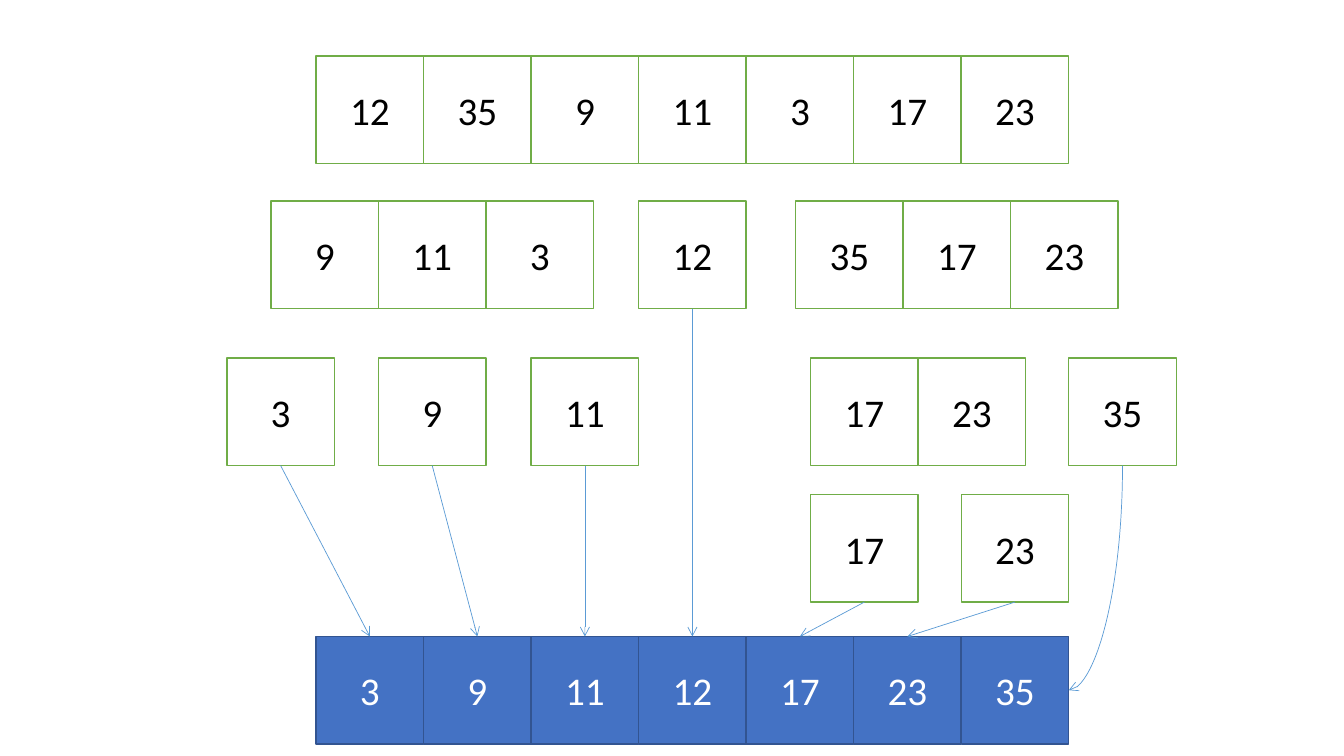
from lxml import etree
from pptx import Presentation
from pptx import util as u
from pptx.dml.color import RGBColor
from pptx.enum import shapes, text
from pptx.oxml.ns import qn

WIDTH, HEIGHT = u.Inches(13.333), u.Inches(7.5)
CELL = round(WIDTH * 0.08)
COLORS = {
    "paper": "FFFFFF", "ink": "000000", "green": "70AD47",
    "blue": "4472C4", "navy": "325491", "arrow": "5B9BD5",
}
ARRAY_COLUMN = 2.94
BOTTOM, RIGHT, TOP = 2, 3, 0

# Row of the grid -> groups given as (first column, values), in cell units.
PARTITIONS = {
    0.52: [(ARRAY_COLUMN, (12, 35, 9, 11, 3, 17, 23))],
    1.87: [(2.52, (9, 11, 3)), (5.94, (12,)), (7.4, (35, 17, 23))],
    3.33: [(2.11, (3,)), (3.52, (9,)), (4.94, (11,)),
           (7.54, (17, 23)), (9.94, (35,))],
    4.6: [(7.54, (17,)), (8.94, (23,))],
}
SORTED_ROW = 5.92
SORTED_VALUES = (3, 9, 11, 12, 17, 23, 35)


def rgb(name):
    return RGBColor.from_string(COLORS[name])


def write_text(box, content, *, size=28, font="Calibri", color="ink"):
    frame = box.text_frame
    frame.vertical_anchor = text.MSO_ANCHOR.MIDDLE
    para = frame.paragraphs[0]
    para.alignment = text.PP_ALIGN.CENTER
    span = para.add_run()
    span.text = content
    span.font.size = u.Pt(size)
    span.font.name = font
    span.font.color.rgb = rgb(color)


def add_cell(page, column, row, value, fill, line, color):
    box = page.shapes.add_shape(
        shapes.MSO_SHAPE.RECTANGLE,
        round(column * CELL), round(row * CELL), CELL, CELL)
    box.shadow.inherit = False
    box.fill.solid()
    box.fill.fore_color.rgb = rgb(fill)
    box.line.color.rgb = rgb(line)
    box.line.width = u.Pt(1)
    write_text(box, str(value), color=color)
    return box


def add_group(page, column, row, values, fill="paper", line="green", color="ink"):
    """Draw adjoining cells and return them by value."""
    return {value: add_cell(page, column + step, row, value, fill, line, color)
            for step, value in enumerate(values)}


def add_arrow(page, source, target, side=TOP, kind=shapes.MSO_CONNECTOR.STRAIGHT):
    arrow = page.shapes.add_connector(kind, 0, 0, 0, 0)
    arrow.begin_connect(source, BOTTOM)
    arrow.end_connect(target, side)
    arrow.line.color.rgb = rgb("arrow")
    arrow.line.width = u.Pt(0.5)
    etree.SubElement(arrow.line._get_or_add_ln(), qn("a:tailEnd"), type="arrow")
    etree.SubElement(arrow._element.spPr, qn("a:effectLst"))
    return arrow


def add_bent_arrow(page, source, target):
    """Curve down from the source, then left into the target's right side."""
    arrow = add_arrow(page, source, target, RIGHT, shapes.MSO_CONNECTOR.CURVE)
    across, down = arrow.width, arrow.height
    center_x = arrow.left + across // 2
    center_y = arrow.top + down // 2
    arrow.left, arrow.top = center_x - down // 2, center_y - across // 2
    arrow.width, arrow.height = down, across
    properties = arrow._element.spPr
    frame = properties.find(qn("a:xfrm"))
    frame.attrib.pop("flipH", None)
    frame.set("rot", "5400000")
    properties.find(qn("a:prstGeom")).set("prst", "curvedConnector2")


def main():
    deck = Presentation()
    deck.slide_width, deck.slide_height = WIDTH, HEIGHT
    page = deck.slides.add_slide(deck.slide_layouts[6])

    settled = {}
    for row, groups in PARTITIONS.items():
        for column, values in groups:
            cells = add_group(page, column, row, values)
            if len(values) == 1:
                settled.update(cells)

    result = add_group(page, ARRAY_COLUMN, SORTED_ROW, SORTED_VALUES,
                       fill="blue", line="navy", color="paper")
    *inner, largest = SORTED_VALUES
    for value in inner:
        add_arrow(page, settled[value], result[value])
    add_bent_arrow(page, settled[largest], result[largest])

    deck.save("out.pptx")


if __name__ == "__main__":
    main()
